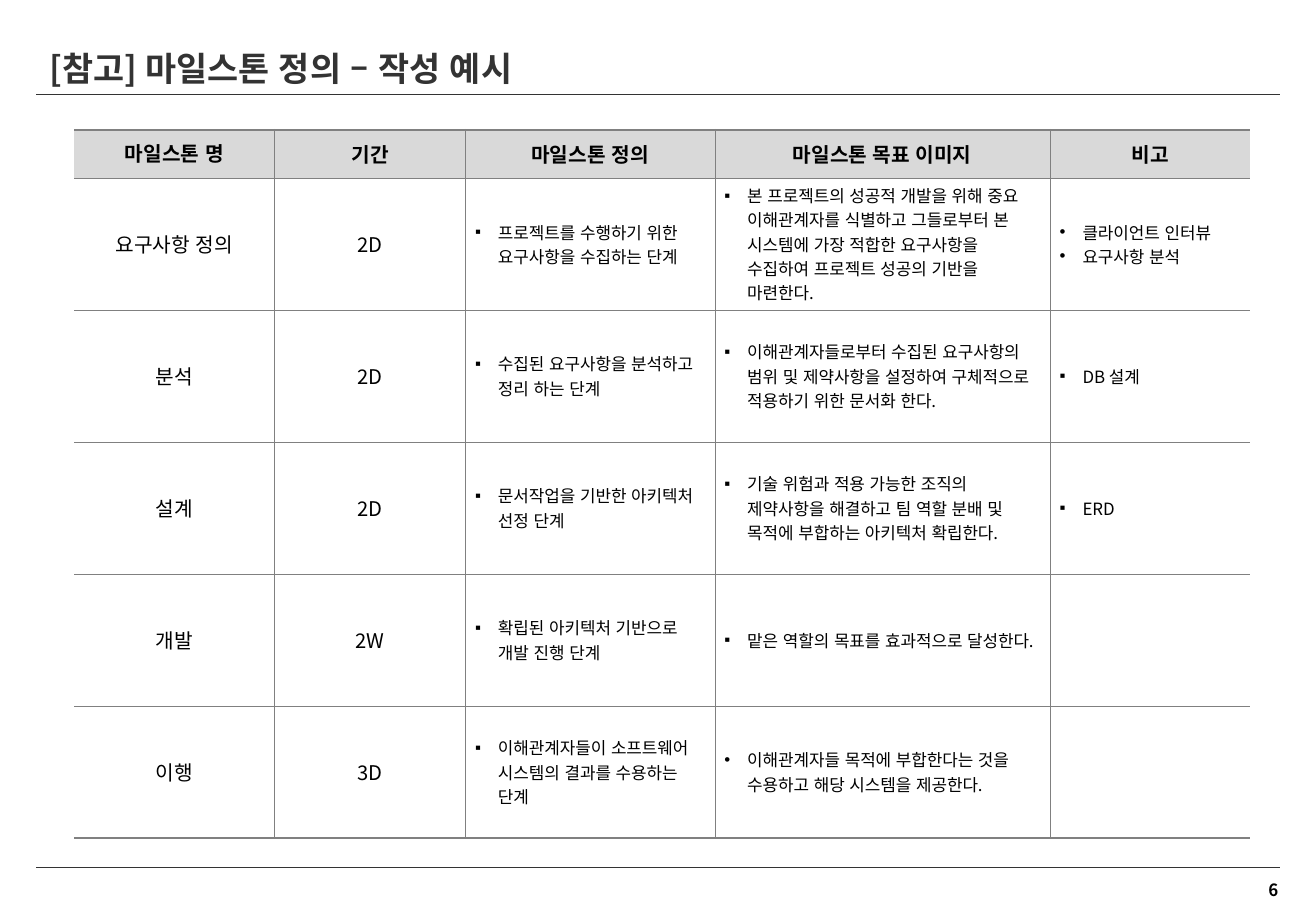
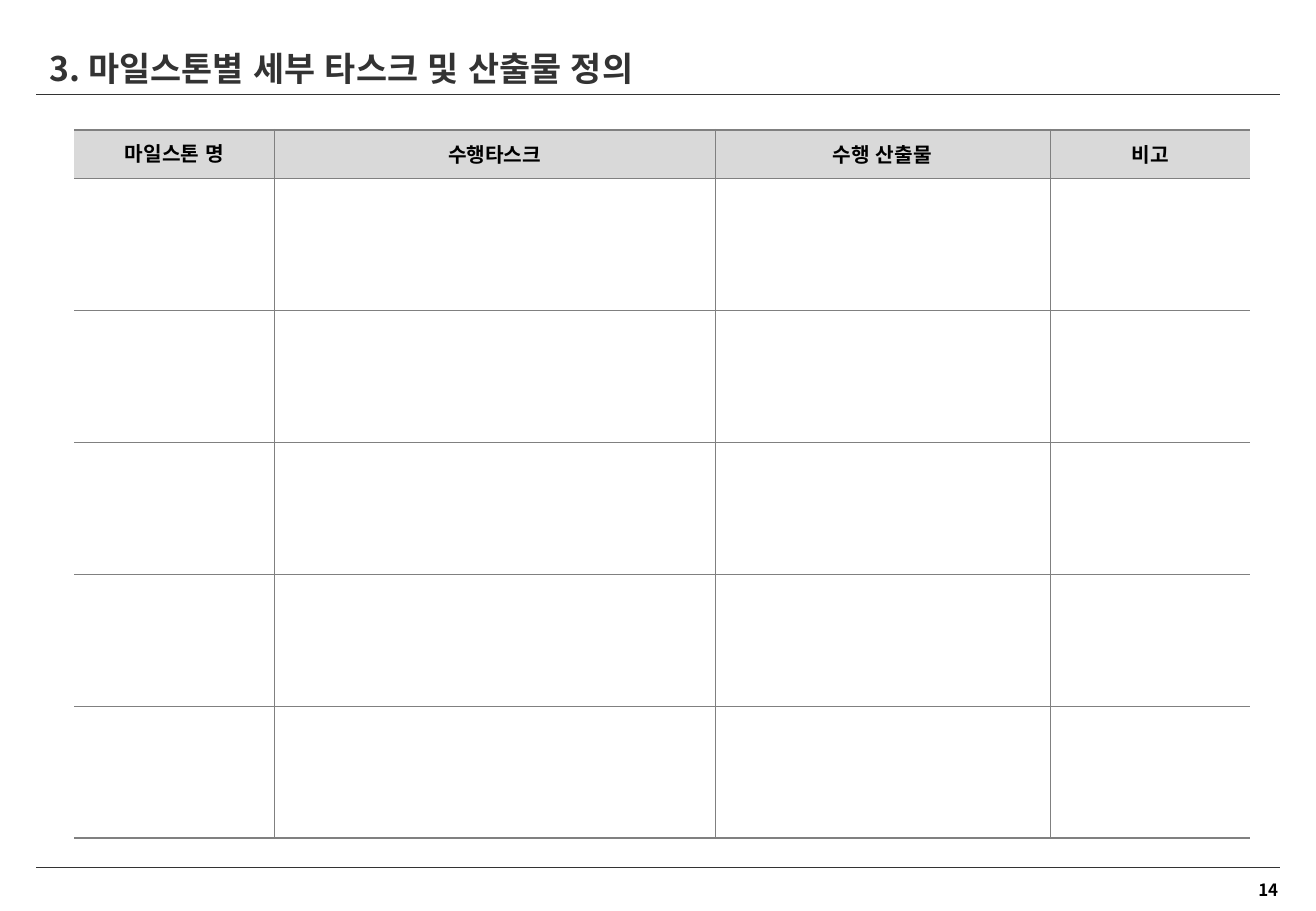
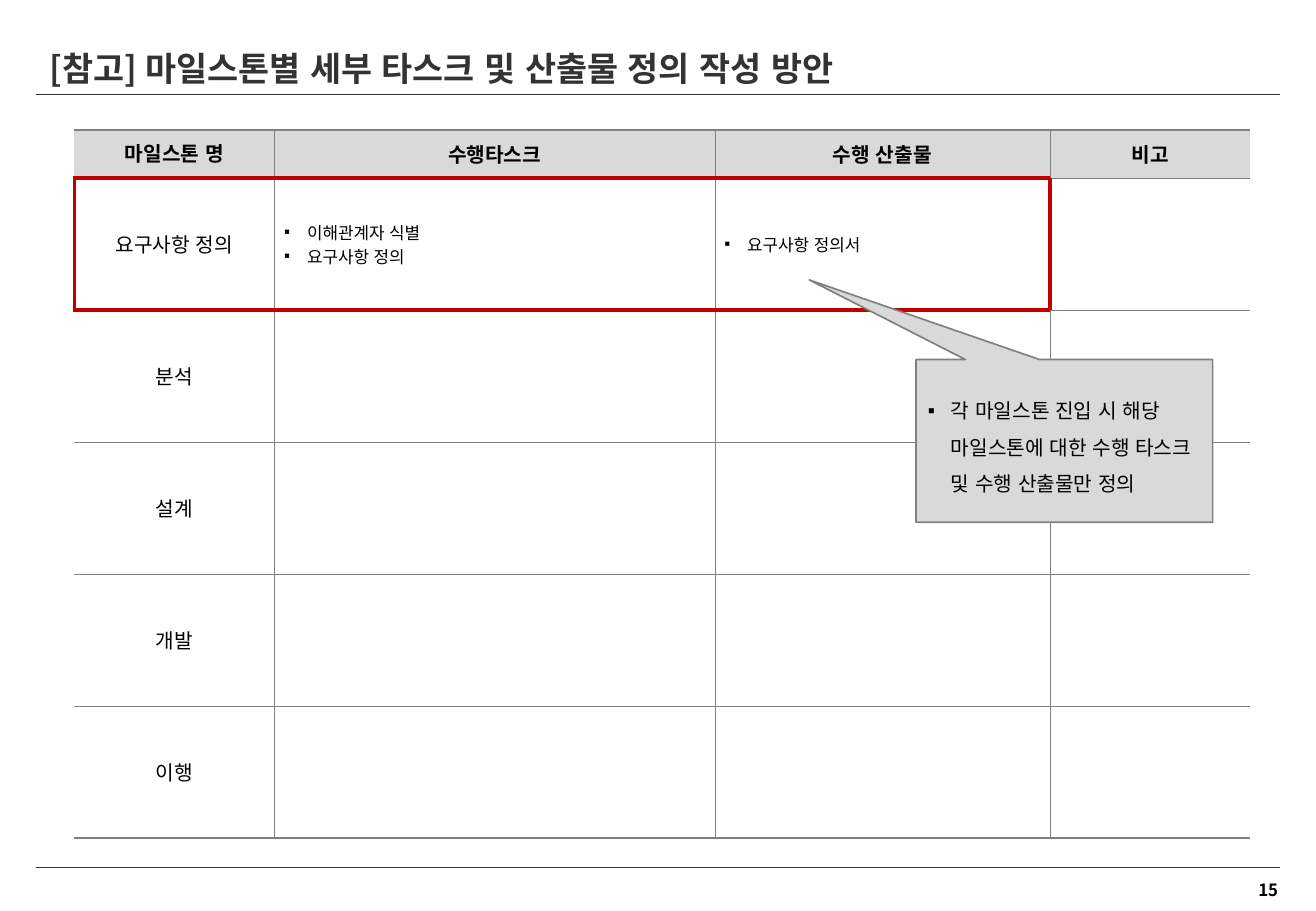
from collections import namedtuple
from itertools import accumulate

from lxml import etree
from pptx import Presentation
from pptx.dml.color import RGBColor
from pptx.enum.lang import MSO_LANGUAGE_ID
from pptx.enum.shapes import MSO_CONNECTOR, MSO_SHAPE
from pptx.enum.text import MSO_ANCHOR, PP_ALIGN
from pptx.oxml.ns import qn
from pptx.util import Cm, Pt

LEFT, CENTER, RIGHT = PP_ALIGN.LEFT, PP_ALIGN.CENTER, PP_ALIGN.RIGHT
MIDDLE = MSO_ANCHOR.MIDDLE
STRAIGHT = MSO_CONNECTOR.STRAIGHT
CALLOUT = MSO_SHAPE.RECTANGULAR_CALLOUT
KOREAN = MSO_LANGUAGE_ID.KOREAN

FONT, CALLOUT_FONT = "Noto Sans CJK KR", "Arial"
INK, TITLE_INK, GRID, SHADE, ACCENT = "000000", "333333", "808080", "D9D9D9", "C00000"
THIN, THICK, HEAVY = 0.25, 1.5, 2.25
SQUARE, DOT = "▪", "•"
INDENT = Cm(0.48)

Box = namedtuple("Box", "left top width height")
Notes = namedtuple("Notes", "mark lines")

PAGE = Box(0, 0, 27.51, 19.05)
TITLE_BOX = Box(0.79, 1.04, 18.77, 0.76)
NUMBER_BOX = Box(25.98, 18.26, 0.99, 0.69)
TABLE_BOX = Box(1.55, 2.72, 24.59, 14.8)
CALLOUT_BOX = Box(19.15, 7.52, 6.2, 3.4)
RULE_SPAN = (0.76, 26.75)
RULE_HEIGHTS = (1.98, 18.14)
HEADER_HEIGHT = 1.0

EXAMPLE_WIDTHS = (4.19, 3.99, 5.21, 7.01, 4.19)
TASK_WIDTHS = (4.19, 9.2, 7.01, 4.19)
MILESTONES = ("요구사항 정의", "분석", "설계", "개발", "이행")


def notes(*lines, mark=SQUARE):
    return Notes(mark, lines)


EXAMPLE_HEADER = ("마일스톤 명", "기간", "마일스톤 정의", "마일스톤 목표 이미지", "비고")
TASK_HEADER = ("마일스톤 명", "수행타스크", "수행 산출물", "비고")
EXAMPLE_DETAILS = (
    ("2D",
     notes("프로젝트를 수행하기 위한 요구사항을 수집하는 단계"),
     notes("본 프로젝트의 성공적 개발을 위해 중요 이해관계자를 식별하고 그들로부터 본 "
           "시스템에 가장 적합한 요구사항을 수집하여 프로젝트 성공의 기반을 마련한다."),
     notes("클라이언트 인터뷰", "요구사항 분석", mark=DOT)),
    ("2D",
     notes("수집된 요구사항을 분석하고 정리 하는 단계"),
     notes("이해관계자들로부터 수집된 요구사항의 범위 및 제약사항을 설정하여 구체적으로 "
           "적용하기 위한 문서화 한다."),
     notes("DB 설계")),
    ("2D",
     notes("문서작업을 기반한 아키텍처 선정 단계"),
     notes("기술 위험과 적용 가능한 조직의 제약사항을 해결하고 팀 역할 분배 및 "
           "목적에 부합하는 아키텍처 확립한다."),
     notes("ERD")),
    ("2W",
     notes("확립된 아키텍처 기반으로 개발 진행 단계"),
     notes("맡은 역할의 목표를 효과적으로 달성한다."),
     ""),
    ("3D",
     notes("이해관계자들이 소프트웨어 시스템의 결과를 수용하는 단계"),
     notes("이해관계자들 목적에 부합한다는 것을 수용하고 해당 시스템을 제공한다.", mark=DOT),
     ""),
)
EXAMPLE_ROWS = [(name, *details) for name, details in zip(MILESTONES, EXAMPLE_DETAILS)]
BLANK_ROWS = [("",) * len(TASK_HEADER)] * len(MILESTONES)
GUIDE_ROWS = [(name, "", "", "") for name in MILESTONES]
GUIDE_ROWS[0] = (MILESTONES[0], notes("이해관계자 식별", "요구사항 정의"),
                 notes("요구사항 정의서"), "")


def colour(code):
    return RGBColor.from_string(code)


def lengths(box):
    return [Cm(value) for value in box]


def add_bullet(para, mark):
    props = para._p.get_or_add_pPr()
    props.set("marL", str(INDENT))
    props.set("indent", str(-INDENT))
    etree.SubElement(props, qn("a:buFont")).set("typeface", CALLOUT_FONT)
    etree.SubElement(props, qn("a:buChar")).set("char", mark)


def write(frame, *lines, size=12, bold=False, ink=INK, font=FONT,
          align=LEFT, spacing=None, mark=None):
    for index, line in enumerate(lines):
        para = frame.add_paragraph() if index else frame.paragraphs[0]
        para.alignment = align
        if spacing:
            para.line_spacing = spacing
        if mark:
            add_bullet(para, mark)
        span = para.add_run()
        span.text = line
        span.font.size = Pt(size)
        span.font.bold = bold
        span.font.color.rgb = colour(ink)
        span.font.name = font
        span.font.language_id = KOREAN
        etree.SubElement(span.font._element, qn("a:ea")).set("typeface", FONT)


def add_text(page, box, text, wrap=True, **style):
    frame = page.shapes.add_textbox(*lengths(box)).text_frame
    frame.word_wrap = wrap
    frame.vertical_anchor = MIDDLE
    write(frame, text, **style)


def add_rule(page, height):
    start, end = RULE_SPAN
    rule = page.shapes.add_connector(STRAIGHT, Cm(start), Cm(height), Cm(end), Cm(height))
    rule.line.color.rgb = colour(TITLE_INK)
    rule.line.width = Pt(0.5)
    etree.SubElement(rule._element.spPr, qn("a:effectLst"))


def add_frame(deck, title, number):
    page = deck.slides.add_slide(deck.slide_layouts[6])
    for height in RULE_HEIGHTS:
        add_rule(page, height)
    add_text(page, NUMBER_BOX, str(number), wrap=False, size=10, bold=True, align=RIGHT)
    add_text(page, TITLE_BOX, title, size=20, bold=True, ink=TITLE_INK)
    return page


def set_border(cell, side, border):
    line = etree.SubElement(cell._tc.get_or_add_tcPr(), qn(f"a:ln{side}"))
    if border is None:
        etree.SubElement(line, qn("a:noFill"))
        return
    ink, weight = border
    line.set("w", str(Pt(weight)))
    fill = etree.SubElement(line, qn("a:solidFill"))
    etree.SubElement(fill, qn("a:srgbClr")).set("val", ink)


def horizontal_border(edge, column, row_count, marked):
    if edge in (1, 2) and column < marked:
        return ACCENT, HEAVY
    return GRID, THICK if edge in (0, row_count) else THIN


def vertical_border(edge, row, column_count, marked):
    if marked and row == 1 and edge in (0, marked):
        return ACCENT, HEAVY
    return None if edge in (0, column_count) else (GRID, THIN)


def fill_cell(cell, content, is_header, spacing):
    cell.vertical_anchor = MIDDLE
    cell.margin_left = cell.margin_right = Cm(0.2)
    cell.margin_top = cell.margin_bottom = 0
    if is_header:
        cell.fill.solid()
        cell.fill.fore_color.rgb = colour(SHADE)
    else:
        cell.fill.background()
    if isinstance(content, Notes):
        write(cell.text_frame, *content.lines, size=10, mark=content.mark)
    elif content:
        write(cell.text_frame, content, bold=is_header, align=CENTER, spacing=spacing)


def add_milestone_table(page, box, widths, header, body, marked=0):
    rows = [header, *body]
    row_count, column_count = len(rows), len(widths)
    table = page.shapes.add_table(row_count, column_count, *lengths(box)).table
    table.first_row = table.horz_banding = False
    stops = [Cm(stop) for stop in accumulate(widths, initial=0)]
    for column, start, end in zip(table.columns, stops, stops[1:]):
        column.width = end - start
    for index, row in enumerate(table.rows):
        row.height = Cm((box.height - HEADER_HEIGHT) / len(body) if index else HEADER_HEIGHT)
    for row, contents in enumerate(rows):
        for column, content in enumerate(contents):
            cell = table.cell(row, column)
            set_border(cell, "L", vertical_border(column, row, column_count, marked))
            set_border(cell, "R", vertical_border(column + 1, row, column_count, marked))
            set_border(cell, "T", horizontal_border(row, column, row_count, marked))
            set_border(cell, "B", horizontal_border(row + 1, column, row_count, marked))
            fill_cell(cell, content, row == 0, 0.8 if row == column == 0 else None)


def add_callout(page, box, text):
    callout = page.shapes.add_shape(CALLOUT, *lengths(box))
    callout.shadow.inherit = False
    callout.adjustments[0], callout.adjustments[1] = -0.86, -0.99
    callout.fill.solid()
    callout.fill.fore_color.rgb = colour(SHADE)
    callout.line.color.rgb = colour(GRID)
    callout.line.width = Pt(1)
    frame = callout.text_frame
    frame.word_wrap = True
    frame.vertical_anchor = MIDDLE
    write(frame, text, font=CALLOUT_FONT, spacing=1.5, mark=SQUARE)


def build_example(deck):
    page = add_frame(deck, "[참고] 마일스톤 정의 – 작성 예시", 6)
    add_milestone_table(page, TABLE_BOX, EXAMPLE_WIDTHS, EXAMPLE_HEADER, EXAMPLE_ROWS)


def build_form(deck):
    page = add_frame(deck, "3. 마일스톤별 세부 타스크 및 산출물 정의", 14)
    add_milestone_table(page, TABLE_BOX, TASK_WIDTHS, TASK_HEADER, BLANK_ROWS)


def build_guide(deck):
    page = add_frame(deck, "[참고] 마일스톤별 세부 타스크 및 산출물 정의 작성 방안", 15)
    add_milestone_table(page, TABLE_BOX, TASK_WIDTHS, TASK_HEADER, GUIDE_ROWS, marked=3)
    add_callout(page, CALLOUT_BOX,
                "각 마일스톤 진입 시 해당 마일스톤에 대한 수행 타스크 및 수행 산출물만 정의")


deck = Presentation()
deck.slide_width, deck.slide_height = Cm(PAGE.width), Cm(PAGE.height)
for build in (build_example, build_form, build_guide):
    build(deck)
deck.save("out.pptx")
